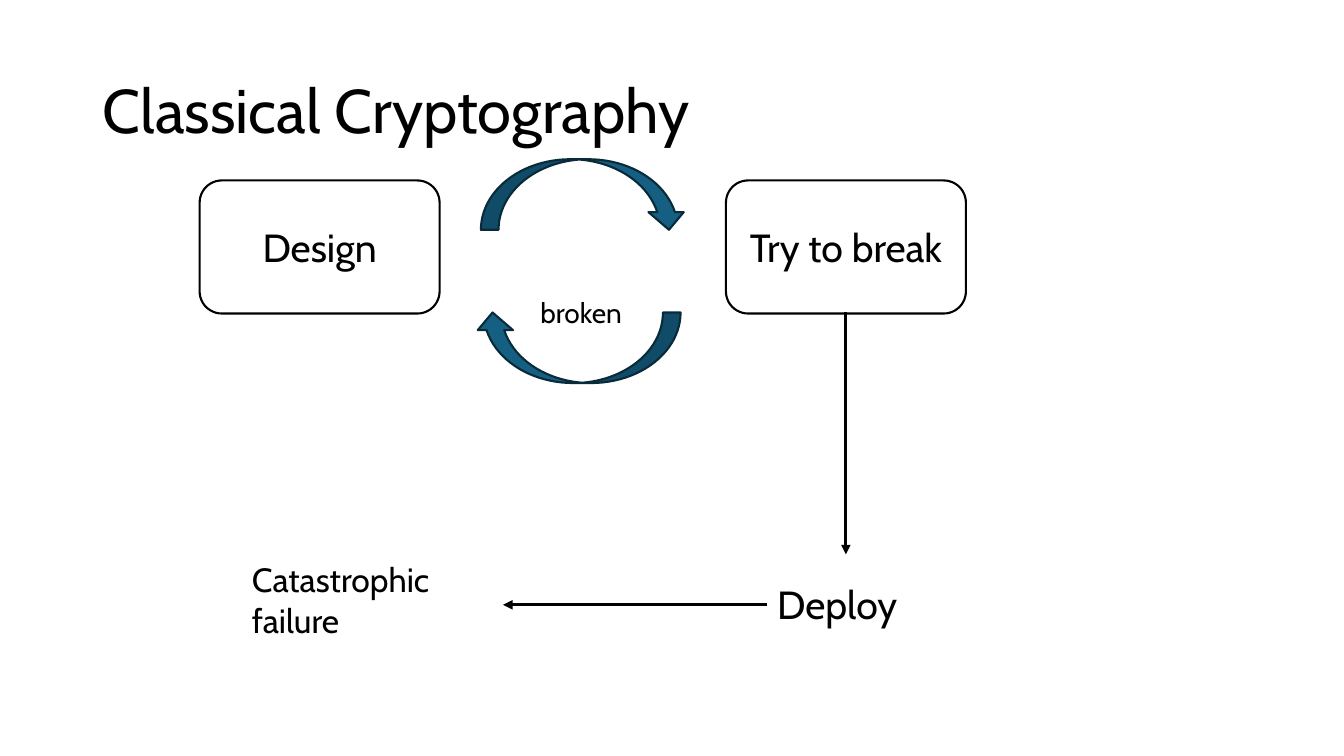
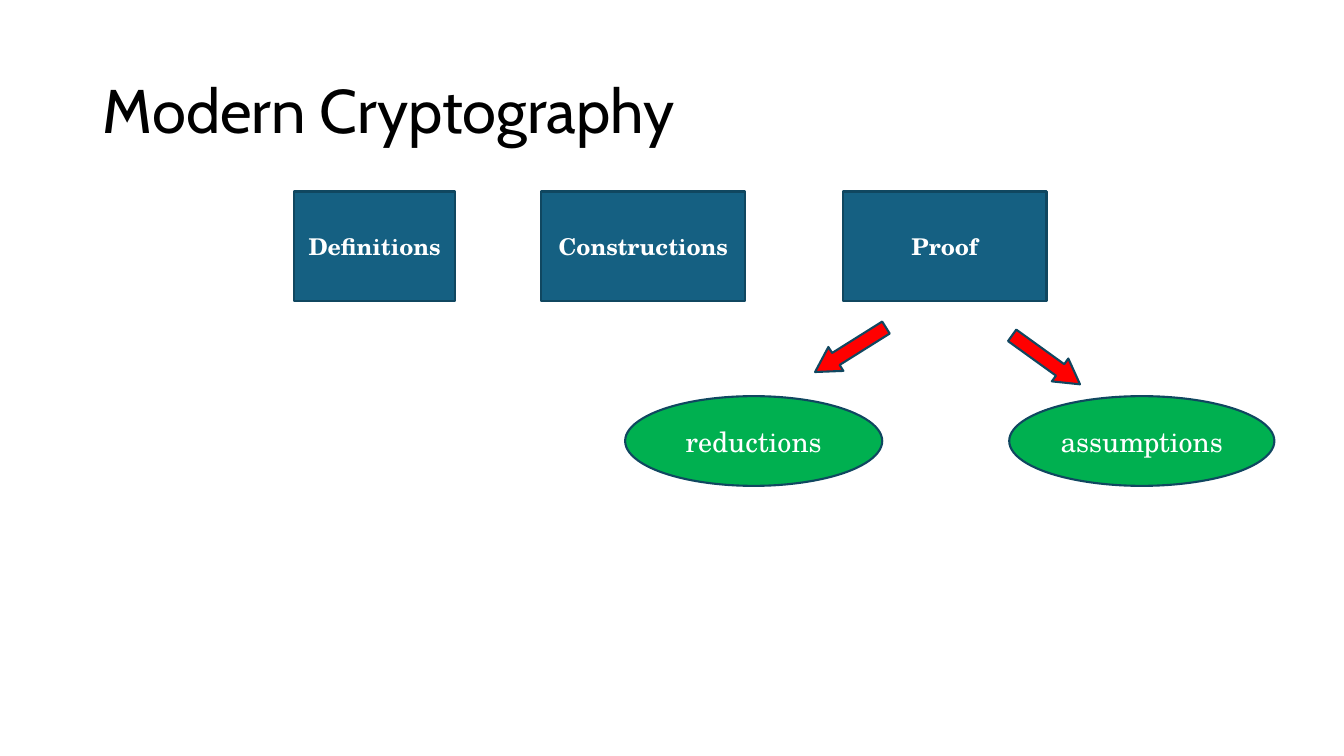
from lxml.etree import SubElement
from pptx import Presentation
from pptx.dml.color import RGBColor
from pptx.enum.shapes import MSO_CONNECTOR, MSO_SHAPE
from pptx.enum.text import MSO_ANCHOR, PP_ALIGN
from pptx.oxml.ns import qn
from pptx.util import Pt

PX = 9144  # EMU per px, 100 px to the inch
SANS, SERIF = "Cabin", "TeX Gyre Schola"
BLACK, WHITE = "000000", "FFFFFF"
BLUE, BLUE_EDGE, DARK_EDGE = "156082", "104760", "092A39"
GREEN, RED = "00B050", "FF0000"
color = RGBColor.from_string


def write(frame, text, size, font=SANS, ink=BLACK, bold=False, align=PP_ALIGN.LEFT):
    """Fill a text frame with one paragraph per line of text."""
    frame.word_wrap = True
    for index, line in enumerate(text.split("\n")):
        para = frame.add_paragraph() if index else frame.paragraphs[0]
        para.alignment = align
        span = para.add_run()
        span.text = line
        span.font.size = Pt(size)
        span.font.name = font
        span.font.bold = bold
        span.font.color.rgb = color(ink)


def draw(page, kind, place, fill, edge, rotation=0):
    """Add an outlined preset shape; a fill of None leaves it hollow."""
    shape = page.shapes.add_shape(kind, *[n * PX for n in place])
    shape.shadow.inherit = False
    shape.rotation = rotation
    if fill:
        shape.fill.solid()
        shape.fill.fore_color.rgb = color(fill)
    else:
        shape.fill.background()
    shape.line.color.rgb = color(edge)
    shape.line.width = Pt(1.5)
    shape.text_frame.vertical_anchor = MSO_ANCHOR.MIDDLE
    return shape


deck = Presentation()
deck.slide_width = 1333 * PX
deck.slide_height = 750 * PX
title_only = deck.slide_layouts[5]

pages = []
for heading in ("Classical Cryptography", "Modern Cryptography"):
    page = deck.slides.add_slide(title_only)
    title = page.shapes.title
    title.left, title.top, title.width, title.height = [n * PX for n in (92, 40, 1150, 145)]
    title.text_frame.vertical_anchor = MSO_ANCHOR.MIDDLE
    write(title.text_frame, heading, 44)
    title.text_frame.paragraphs[0].line_spacing = 0.9
    pages.append(page)
classical, modern = pages

# Classical cryptography: design and break cycle, then deployment
for label, left in (("Design", 198), ("Try to break", 720)):
    step = draw(classical, MSO_SHAPE.ROUNDED_RECTANGLE, (left, 179, 238, 132), None, BLACK)
    write(step.text_frame, label, 28, align=PP_ALIGN.CENTER)

for left, top, rotation in ((477, 158, 0), (471, 310, 180)):
    draw(classical, MSO_SHAPE.CURVED_DOWN_ARROW, (left, top, 204, 70), BLUE, DARK_EDGE, rotation)

for ends in ((839, 310, 839, 550), (761, 600, 499, 600)):
    arrow = classical.shapes.add_connector(MSO_CONNECTOR.STRAIGHT, *[n * PX for n in ends])
    arrow.line.color.rgb = color(BLACK)
    arrow.line.width = Pt(2.25)
    SubElement(arrow.line._get_or_add_ln(), qn("a:tailEnd"), type="triangle")
    SubElement(arrow._element.spPr, qn("a:effectLst"))

for text, size, place in (
    ("broken", 20, (526, 288, 112, 44)),
    ("Deploy", 28, (761, 571, 180, 57)),
    ("Catastrophic\nfailure", 24, (240, 550, 263, 91)),
):
    box = classical.shapes.add_textbox(*[n * PX for n in place])
    write(box.text_frame, text, size)

# Modern cryptography: three pillars, with proof resting on two ideas
for label, left, width in (("Definitions", 292, 159), ("Constructions", 537, 202), ("Proof", 836, 202)):
    pillar = draw(modern, MSO_SHAPE.RECTANGLE, (left, 190, width, 109), BLUE, BLUE_EDGE)
    write(pillar.text_frame, label, 16.5, SERIF, WHITE, True, PP_ALIGN.CENTER)

for label, left, width in (("reductions", 620, 255), ("assumptions", 1001, 263)):
    idea = draw(modern, MSO_SHAPE.OVAL, (left, 393, width, 89), GREEN, BLUE_EDGE)
    write(idea.text_frame, label, 20, SERIF, WHITE, align=PP_ALIGN.CENTER)

for left, top, rotation in ((802, 333, 147.9), (996, 343, 35.8)):
    pointer = draw(modern, MSO_SHAPE.RIGHT_ARROW, (left, top, 83, 28), RED, BLUE_EDGE, rotation)
    pointer.adjustments[1] = 0.87

deck.save("out.pptx")
